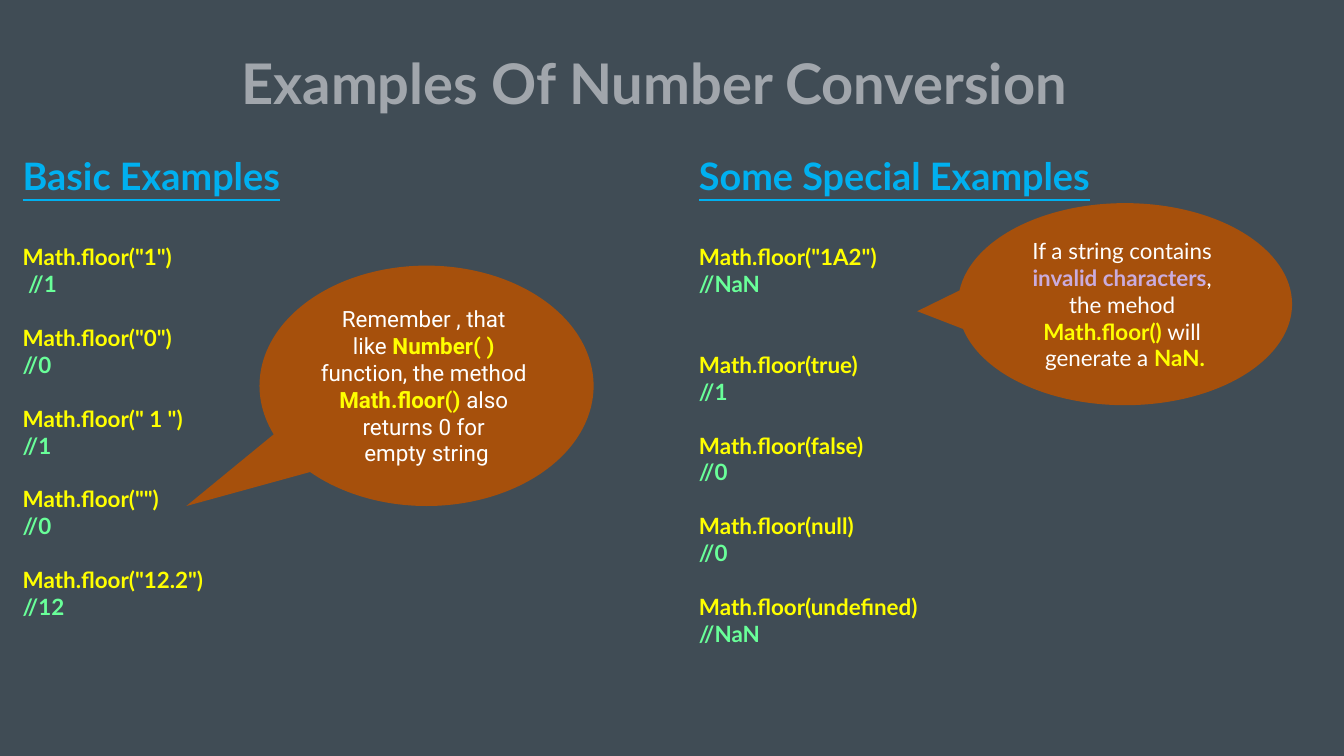
from dataclasses import dataclass

from lxml import etree
from pptx import Presentation
from pptx.dml.color import RGBColor
from pptx.enum import shapes, text
from pptx.oxml.ns import qn
from pptx.util import Inches, Pt


@dataclass(frozen=True)
class Theme:
    background: str = "404C55"
    title: str = "A1A6AC"
    heading: str = "00B0F0"
    code: str = "FFFF00"
    result: str = "69FF99"
    callout: str = "A6500C"
    plain: str = "FFFFFF"
    accent: str = "CAACDD"
    font: str = "Lato"
    title_size: int = 80
    heading_size: int = 54
    body_size: int = 32


THEME = Theme()
LINE = 1.2  # line height as a multiple of the type size
INSET = 0.08

TITLE = "Examples Of Number Conversion"

# Each example: code, result, blank lines above it
COLUMNS = [
    {
        "left": 0.37,
        "heading": "Basic Examples",
        "examples": [
            ('Math.floor("1")', " //1", 0),
            ('Math.floor("0")', "//0", 1),
            ('Math.floor(" 1 ")', "//1", 1),
            ('Math.floor("")', "//0", 1),
            ('Math.floor("12.2")', "//12", 1),
        ],
    },
    {
        "left": 13.79,
        "heading": "Some Special Examples",
        "examples": [
            ('Math.floor("1A2")', "//NaN", 0),
            ("Math.floor(true)", "//1", 2),
            ("Math.floor(false)", "//0", 1),
            ("Math.floor(null)", "//0", 1),
            ("Math.floor(undefined)", "//NaN", 1),
        ],
    },
]

# Each line is a list of (text, colour); coloured words are bold
CALLOUTS = [
    {
        "box": (5.15, 5.27, 6.63, 4.77),
        "tip": (-0.719, 0.5),
        "font": "Roboto",
        "lines": [
            [("Remember , that ", THEME.plain)],
            [("like ", THEME.plain), ("Number( ) ", THEME.code)],
            [("function, the method ", THEME.plain)],
            [("Math.floor() ", THEME.code), ("also ", THEME.plain)],
            [("returns 0 for ", THEME.plain)],
            [("empty string", THEME.plain)],
        ],
    },
    {
        "box": (19.01, 4.03, 6.63, 4.01),
        "tip": (-0.622, 0.035),
        "font": THEME.font,
        "lines": [
            [("If a string contains ", THEME.plain)],
            [("invalid characters", THEME.accent), (", ", THEME.plain)],
            [("the mehod ", THEME.plain)],
            [("Math.floor() ", THEME.code), ("will ", THEME.plain)],
            [("generate a ", THEME.plain), ("NaN.", THEME.code)],
        ],
    },
]


def place(sp, left, top, width, height):
    sp.left, sp.top = Inches(left), Inches(top)
    sp.width, sp.height = Inches(width), Inches(height)


def prepare_frame(sp, anchor):
    tf = sp.text_frame
    tf.word_wrap = True
    tf.auto_size = text.MSO_AUTO_SIZE.NONE
    tf.vertical_anchor = anchor
    tf.margin_left = tf.margin_right = Inches(INSET)
    tf.margin_top = tf.margin_bottom = Inches(INSET)
    return tf


def style(r, size, color, bold=True, font=THEME.font, underline=False):
    r.font.name = font
    r.font.size = Pt(size)
    r.font.bold = bold
    r.font.underline = underline
    r.font.color.rgb = RGBColor.from_string(color)


def fill_title(sp):
    place(sp, 0.77, 0.88, 24.43, 1.5)
    tf = prepare_frame(sp, text.MSO_ANCHOR.MIDDLE)
    tf.text = TITLE
    p = tf.paragraphs[0]
    p.alignment = text.PP_ALIGN.CENTER
    style(p.runs[0], THEME.title_size, THEME.title)


def fill_column(sp, column):
    place(sp, column["left"], 2.95, 11.41, 10)
    tf = prepare_frame(sp, text.MSO_ANCHOR.TOP)
    body, head = THEME.body_size, THEME.heading_size
    rows = [(column["heading"], head, THEME.heading, 0)]
    for i, (code, result, blanks) in enumerate(column["examples"]):
        gap = LINE * (blanks * body if i else head)
        rows += [(code, body, THEME.code, gap), (result, body, THEME.result, 0)]

    for i, (line, size, color, gap) in enumerate(rows):
        p = tf.add_paragraph() if i else tf.paragraphs[0]
        p.text = line
        pPr = p._p.get_or_add_pPr()
        pPr.set("marL", "0")
        pPr.set("indent", "0")
        etree.SubElement(pPr, qn("a:buNone"))
        p.space_before = Pt(gap)
        style(p.runs[0], size, color, underline=i == 0)


def add_callout(slide, callout):
    box = [Inches(v) for v in callout["box"]]
    sp = slide.shapes.add_shape(shapes.MSO_SHAPE.OVAL_CALLOUT, *box)
    sp.adjustments[0], sp.adjustments[1] = callout["tip"]
    sp.shadow.inherit = False
    sp.fill.solid()
    sp.fill.fore_color.rgb = RGBColor.from_string(THEME.callout)
    sp.line.fill.background()
    tf = prepare_frame(sp, text.MSO_ANCHOR.MIDDLE)
    for i, line in enumerate(callout["lines"]):
        p = tf.add_paragraph() if i else tf.paragraphs[0]
        p.alignment = text.PP_ALIGN.CENTER
        for words, color in line:
            r = p.add_run()
            r.text = words
            style(r, THEME.body_size, color, color != THEME.plain, callout["font"])


def main():
    prs = Presentation()
    prs.slide_width, prs.slide_height = Inches(26.67), Inches(15)
    two_content = prs.slide_layouts[3]
    slide = prs.slides.add_slide(two_content)
    slide.background.fill.solid()
    slide.background.fill.fore_color.rgb = RGBColor.from_string(THEME.background)

    fill_title(slide.shapes.title)
    for idx, column in enumerate(COLUMNS, start=1):
        fill_column(slide.placeholders[idx], column)
    for callout in CALLOUTS:
        add_callout(slide, callout)
    prs.save("out.pptx")


if __name__ == "__main__":
    main()
